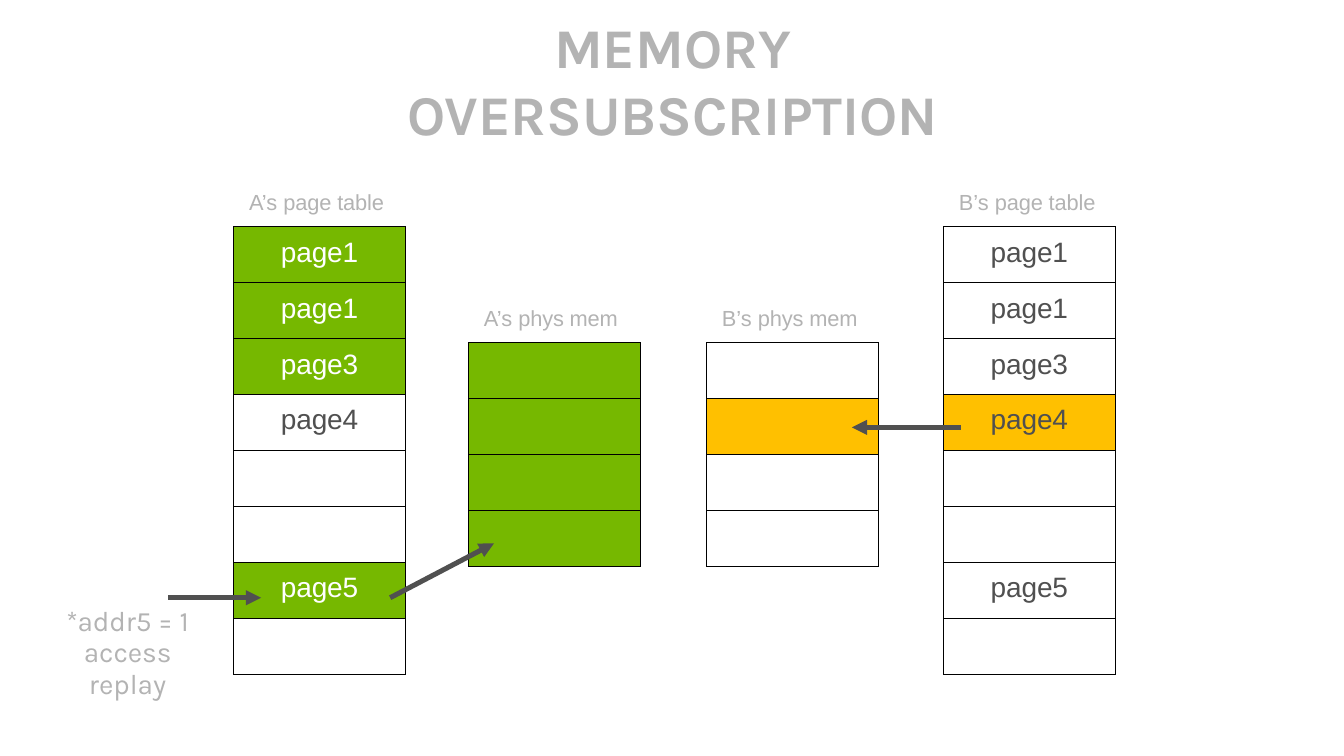
from lxml.etree import SubElement
from pptx import Presentation
from pptx.dml.color import RGBColor
from pptx.enum.shapes import MSO_CONNECTOR
from pptx.enum.text import MSO_ANCHOR, MSO_AUTO_SIZE, PP_ALIGN
from pptx.oxml.ns import qn
from pptx.util import Inches, Pt

GREY = RGBColor(0xB3, 0xB3, 0xB3)
DARK = RGBColor(0x50, 0x50, 0x50)
BLACK = RGBColor(0, 0, 0)
WHITE = RGBColor(0xFF, 0xFF, 0xFF)
GREEN = RGBColor(0x76, 0xB8, 0x00)
AMBER = RGBColor(0xFF, 0xC0, 0x00)

PAGES = ["page1", "page1", "page3", "page4", "", "", "page5", ""]
WIDTH, ROW = 1.7, 0.555
TIGHT = -10


class Deck:
    head = "Karla"
    body = "Arial"

    def __init__(self):
        self.prs = Presentation()
        self.prs.slide_width = Inches(13.33)
        self.prs.slide_height = Inches(7.5)
        self.slide = self.prs.slides.add_slide(self.prs.slide_layouts[5])

    def add_runs(self, par, runs, font, size, color, bold=False):
        """Add (text, letter spacing) runs to a paragraph."""
        for text, gap in runs:
            run = par.add_run()
            run.text = text
            run.font.name = font
            run.font.size = Pt(size)
            run.font.bold = bold
            run.font.color.rgb = color
            run._r.get_or_add_rPr().set("spc", str(gap))

    def frame(self, shape, left=0):
        """Set the margins and wrapping of a text shape."""
        frame = shape.text_frame
        frame.margin_left = Inches(left)
        frame.margin_right = frame.margin_bottom = 0
        frame.margin_top = Inches(0.02)
        frame.word_wrap = True
        frame.auto_size = MSO_AUTO_SIZE.NONE
        return frame

    def title(self, text):
        shape = self.slide.shapes.title
        shape.left, shape.top = Inches(2.92), Inches(0.76)
        shape.width, shape.height = Inches(7.5), Inches(0.7)
        frame = self.frame(shape)
        frame.vertical_anchor = MSO_ANCHOR.BOTTOM
        par = frame.paragraphs[0]
        par.alignment = PP_ALIGN.CENTER
        self.add_runs(par, [(text, TIGHT)], self.head, 40, GREY, True)

    def label(self, x, y, runs):
        box = self.slide.shapes.add_textbox(
            Inches(x), Inches(y), Inches(1.4), Inches(0.28))
        par = self.frame(box, 0.02).paragraphs[0]
        self.add_runs(par, runs, self.body, 15.6, GREY)

    def note(self, x, y, w, h, lines):
        box = self.slide.shapes.add_textbox(
            Inches(x), Inches(y), Inches(w), Inches(h))
        frame = self.frame(box)
        for i, runs in enumerate(lines):
            par = frame.add_paragraph() if i else frame.paragraphs[0]
            par.alignment = PP_ALIGN.CENTER
            par.line_spacing = Pt(22.8)
            self.add_runs(par, runs, self.head, 20, GREY)

    def edge(self, cell):
        """Draw a thin black border around a cell."""
        props = cell._tc.get_or_add_tcPr()
        for side in ("a:lnL", "a:lnR", "a:lnT", "a:lnB"):
            line = SubElement(props, qn(side), w=str(Pt(0.75)))
            fill = SubElement(line, qn("a:solidFill"))
            SubElement(fill, qn("a:srgbClr"), val=str(BLACK))

    def stack(self, x, y, owner, kind, pages, fills):
        """Add a labelled one-column table; fills maps row to colour."""
        self.label(x + 0.13, y - 0.4, [(owner + "’s ", 0), (kind, TIGHT)])
        count = len(pages)
        table = self.slide.shapes.add_table(
            count, 1, Inches(x), Inches(y),
            Inches(WIDTH), Inches(ROW * count)).table
        table.first_row = table.horz_banding = False
        for i, page in enumerate(pages):
            cell = table.cell(i, 0)
            cell.margin_left = cell.margin_right = cell.margin_bottom = 0
            cell.margin_top = Inches(0.1)
            self.edge(cell)
            if i in fills:
                cell.fill.solid()
                cell.fill.fore_color.rgb = fills[i]
            else:
                cell.fill.background()
            if page:
                par = cell.text_frame.paragraphs[0]
                par.alignment = PP_ALIGN.CENTER
                color = WHITE if fills.get(i) == GREEN else DARK
                self.add_runs(par, [(page, TIGHT)], self.body, 20, color)

    def arrow(self, x1, y1, x2, y2):
        link = self.slide.shapes.add_connector(
            MSO_CONNECTOR.STRAIGHT,
            Inches(x1), Inches(y1), Inches(x2), Inches(y2))
        link.line.color.rgb = DARK
        link.line.width = Pt(3.6)
        SubElement(link.line._get_or_add_ln(), qn("a:tailEnd"), type="triangle")
        SubElement(link._element.spPr, qn("a:effectLst"))


def main():
    deck = Deck()
    deck.title("MEMORY OVERSUBSCRIPTION")

    frames = [""] * 4
    green = dict.fromkeys([0, 1, 2, 6], GREEN)
    deck.stack(2.32, 2.25, "A", "page table", PAGES, green)
    deck.stack(4.65, 3.4, "A", "phys mem", frames, dict.fromkeys(range(4), GREEN))
    deck.stack(7.01, 3.4, "B", "phys mem", frames, {1: AMBER})
    deck.stack(9.36, 2.25, "B", "page table", PAGES, {3: AMBER})

    deck.arrow(1.67, 5.93, 2.59, 5.93)
    deck.arrow(9.53, 4.24, 8.45, 4.24)
    deck.arrow(3.87, 5.93, 4.9, 5.39)
    deck.note(0.42, 5.98, 1.69, 0.66, [
        [("*addr5 ", TIGHT), ("= 1", 0)],
        [("access ", TIGHT), ("replay", 0)],
    ])
    deck.prs.save("out.pptx")


if __name__ == "__main__":
    main()
